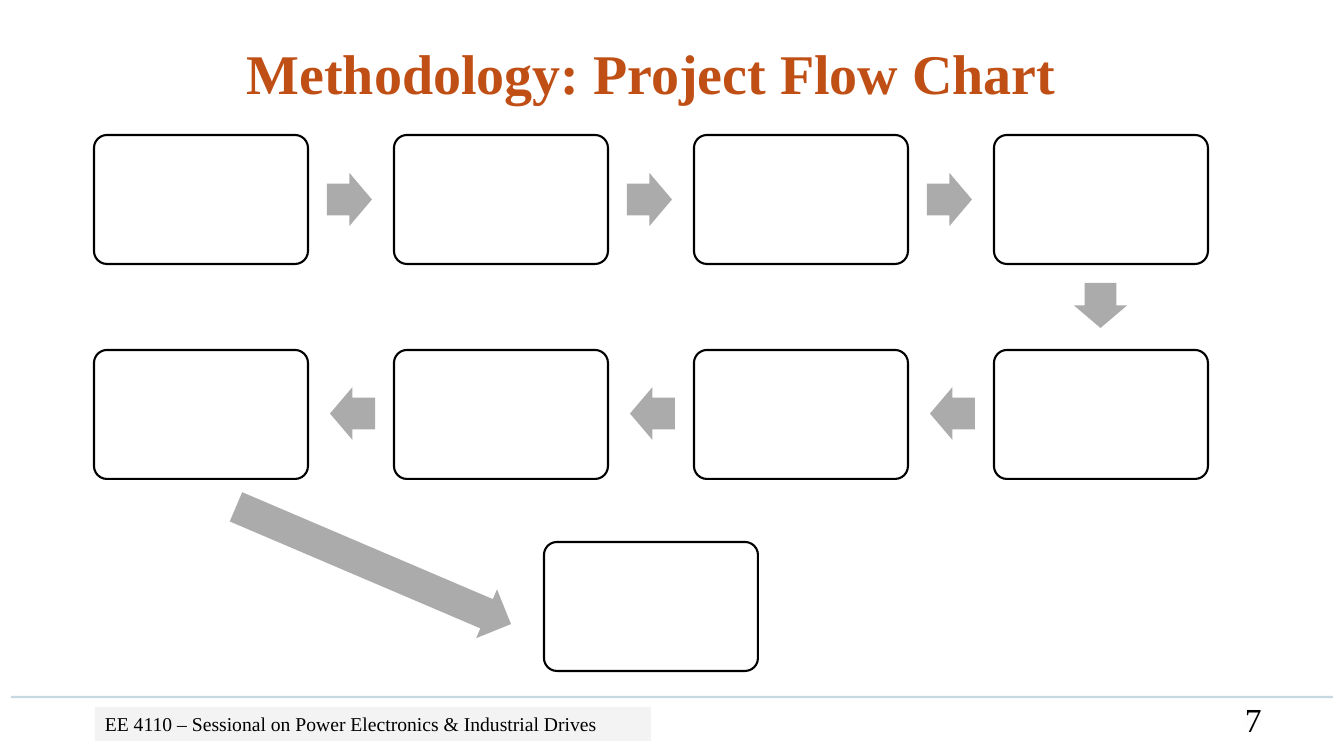
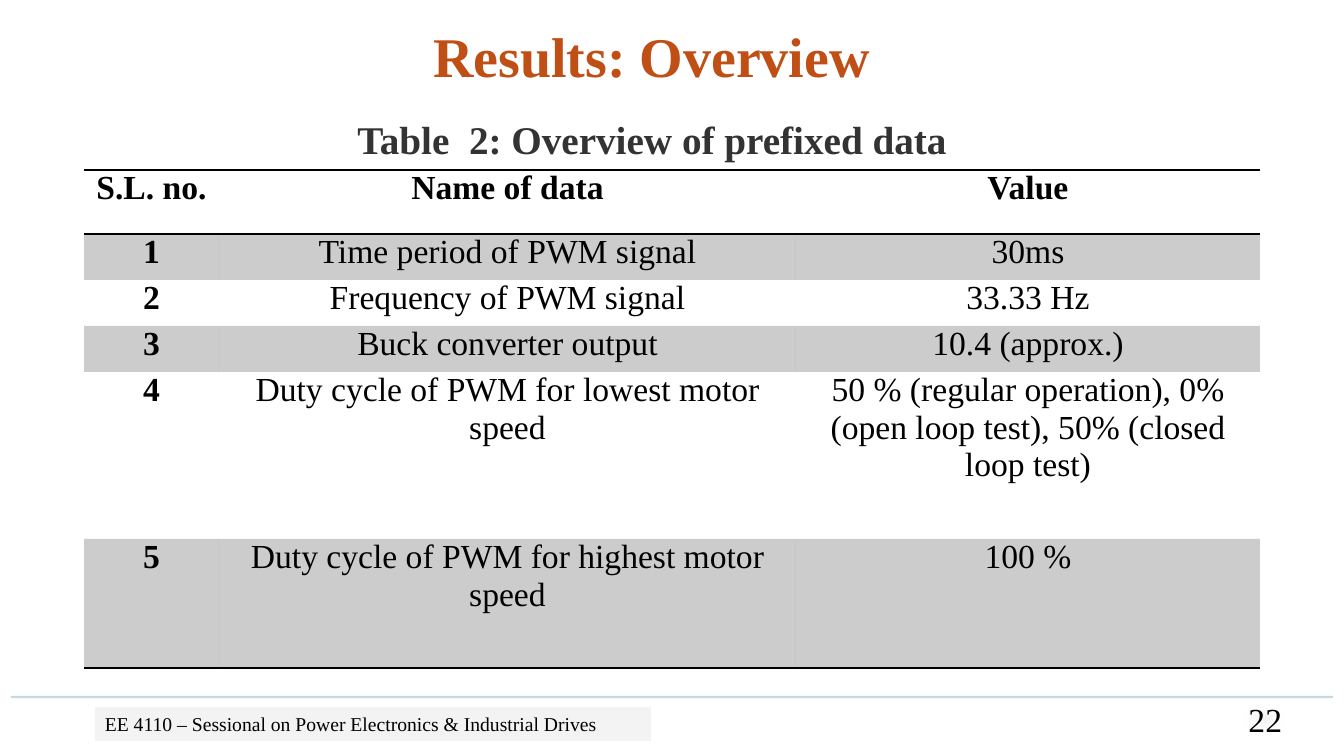
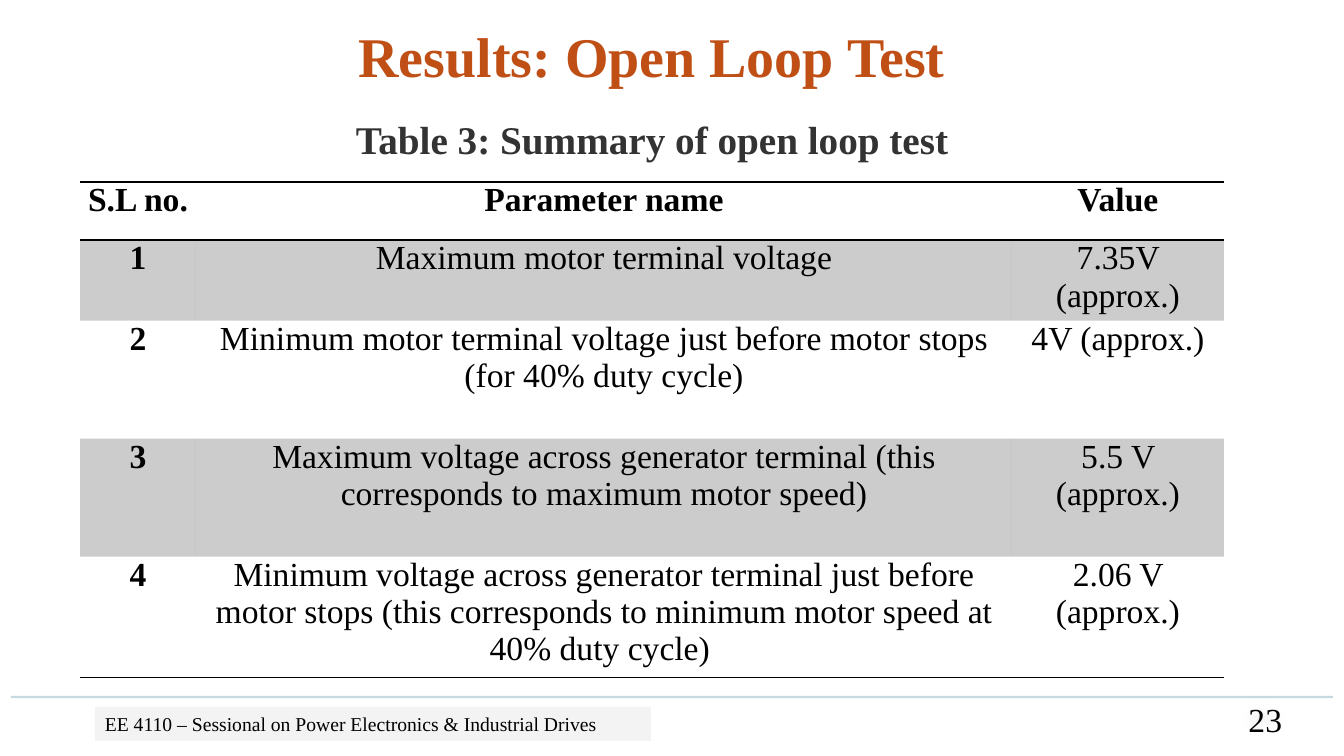
"""Builds three project slides: a flow chart and two result tables."""
from lxml import etree
from pptx import Presentation
from pptx.dml.color import RGBColor
from pptx.enum.shapes import MSO_CONNECTOR, MSO_SHAPE
from pptx.enum.text import MSO_ANCHOR, MSO_AUTO_SIZE, PP_ALIGN
from pptx.oxml.ns import qn
from pptx.util import Pt

PX = 9071
FONT = "Times New Roman"
BLACK, WHITE, RUST, DARK = "000000", "FFFFFF", "C04F15", "333333"
TEAL, PALE, LIGHT, GREY = "156082", "F2F2F2", "D1D1D1", "ABABAB"
LEFT, MID, RIGHT = PP_ALIGN.LEFT, PP_ALIGN.CENTER, PP_ALIGN.RIGHT
TOP, CENTRE = MSO_ANCHOR.TOP, MSO_ANCHOR.MIDDLE
FIXED = MSO_AUTO_SIZE.NONE
STRAIGHT = MSO_CONNECTOR.STRAIGHT
ROUND, ARROW = MSO_SHAPE.ROUNDED_RECTANGLE, MSO_SHAPE.RIGHT_ARROW
PLAIN = "{2D5ABB26-0587-4C30-8999-92F81FD0307C}"
COURSE = "EE 4110 – Sessional on Power Electronics & Industrial Drives"


def paint(fill, code, host=None, alpha=100):
    fill.solid()
    fill.fore_color.rgb = RGBColor.from_string(code)
    if alpha < 100:
        tint = host.find(".//" + qn("a:srgbClr"))
        etree.SubElement(tint, qn("a:alpha"), val=str(alpha * 1000))


def write(frame, text, size, code=BLACK, bold=False, align=MID):
    frame.word_wrap = True
    frame.text = text
    para = frame.paragraphs[0]
    para.alignment = align
    for run in para.runs:
        run.font.name = FONT
        run.font.size = Pt(size)
        run.font.bold = bold
        paint(run.font.fill, code)
    return para


deck = Presentation()
deck.slide_width, deck.slide_height = 1344 * PX, 756 * PX

heads = [
    ("Methodology: Project Flow Chart", (129, 33, 1044, 78), "7", 34),
    ("Results: Overview", (11, 16, 1281, 78), "22", 57),
    ("Results: Open Loop Test", (11, 16, 1281, 78), "23", 57),
]
for head, place, page, wide in heads:
    slide = deck.slides.add_slide(deck.slide_layouts[5])
    title = slide.shapes.title
    title.left, title.top, title.width, title.height = [n * PX for n in place]
    write(title.text_frame, head, 40, RUST, True)
    title.text_frame.vertical_anchor = TOP
    title.text_frame.auto_size = FIXED

    rule = slide.shapes.add_connector(STRAIGHT, 11 * PX, 697 * PX, 1333 * PX, 697 * PX)
    rule.line.width = Pt(1.5)
    paint(rule.line.fill, TEAL, rule._element.spPr, 23)
    etree.SubElement(rule._element.spPr, qn("a:effectLst"))

    badge = slide.shapes.add_textbox(1235 * PX, 699 * PX, wide * PX, 40 * PX)
    paint(badge.fill, PALE)
    glow = etree.SubElement(badge._element.spPr, qn("a:effectLst"))
    etree.SubElement(glow, qn("a:softEdge"), rad="112500")
    write(badge.text_frame, page, 24, align=RIGHT)
    badge.text_frame.vertical_anchor = CENTRE

    foot = slide.shapes.add_textbox(95 * PX, 707 * PX, 556 * PX, 34 * PX)
    paint(foot.fill, LIGHT, foot._element.spPr, 25)
    write(foot.text_frame, COURSE, 14, align=LEFT)

flow = deck.slides[0].shapes.add_group_shape().shapes
steps = [(94 + 300 * col, top) for top in (135, 350) for col in range(4)]
for left, top in steps + [(544, 542)]:
    step = flow.add_shape(ROUND, left * PX, top * PX, 214 * PX, 129 * PX)
    step.adjustments[0] = 0.1
    step.shadow.inherit = False
    paint(step.fill, WHITE)
    paint(step.line.fill, BLACK)
    step.line.width = Pt(1.5)

links = [(327 + 300 * col, 173, 45, 0) for col in range(3)]
links += [(330 + 300 * col, 387, 45, 180) for col in range(3)]
links += [(1078, 279, 45, 90), (224, 539, 299, 23.1)]
for left, top, wide, turn in links:
    link = flow.add_shape(ARROW, left * PX, top * PX, wide * PX, 53 * PX)
    link.adjustments[0], link.adjustments[1] = 0.6, 0.5
    link.rotation = turn
    link.shadow.inherit = False
    paint(link.fill, GREY)
    link.line.fill.background()

tables = [
    ("Table  2: Overview of prefixed data", 84, 170,
     (135, 577, 464), (64, 46, 46, 46, 167, 129), [
         ("S.L. no.", "Name of data", "Value"),
         ("1", "Time period of PWM signal", "30ms"),
         ("2", "Frequency of PWM signal", "33.33 Hz"),
         ("3", "Buck converter output", "10.4 (approx.)"),
         ("4", "Duty cycle of PWM for lowest motor speed",
          "50 % (regular operation), 0% (open loop test), 50% (closed loop test)"),
         ("5", "Duty cycle of PWM for highest motor speed", "100 %"),
     ]),
    ("Table 3: Summary of open loop test", 80, 182,
     (116, 816, 212), (58, 58, 118, 118, 118), [
         ("S.L no.", "Parameter name", "Value"),
         ("1", "Maximum motor terminal voltage", "7.35V (approx.)"),
         ("2", "Minimum motor terminal voltage just before motor stops "
          "(for 40% duty cycle)", "4V (approx.)"),
         ("3", "Maximum voltage across generator terminal "
          "(this corresponds to maximum motor speed)", "5.5 V (approx.)"),
         ("4", "Minimum voltage across generator terminal just before motor stops "
          "(this corresponds to minimum motor speed at 40% duty cycle) ",
          "2.06 V (approx.)"),
     ]),
]
for page, (label, left, top, cols, rows, data) in enumerate(tables, 1):
    shapes = deck.slides[page].shapes
    box = shapes.add_textbox(176 * PX, 87 * PX, 952 * PX, 73 * PX)
    para = write(box.text_frame, label, 28, DARK, True)
    para.line_spacing = 1.5
    para.space_after = Pt(15.6)

    grid = shapes.add_table(len(rows), len(cols), left * PX, top * PX,
                            sum(cols) * PX, sum(rows) * PX).table
    grid._tbl.tblPr.find(qn("a:tableStyleId")).text = PLAIN
    grid.horz_banding = False
    for col, wide in enumerate(cols):
        grid.columns[col].width = wide * PX
    for row, high in enumerate(rows):
        grid.rows[row].height = high * PX
        edges = {0: ("lnT", "lnB"), len(rows) - 1: ("lnB",)}.get(row, ())
        for col, text in enumerate(data[row]):
            cell = grid.cell(row, col)
            cell.margin_left = cell.margin_right = 7 * PX
            cell.margin_top = cell.margin_bottom = 0
            para = write(cell.text_frame, text, 24, bold=row == 0 or col == 0)
            para.space_after = Pt(15.6)
            props = cell._tc.get_or_add_tcPr()
            if row % 2:
                paint(cell.fill, BLACK, props, 20)
            else:
                cell.fill.background()
            for spot, edge in enumerate(edges):
                line = etree.Element(qn("a:" + edge), w=str(Pt(1)))
                ink = etree.SubElement(line, qn("a:solidFill"))
                etree.SubElement(ink, qn("a:srgbClr"), val=BLACK)
                props.insert(spot, line)

deck.save("out.pptx")
